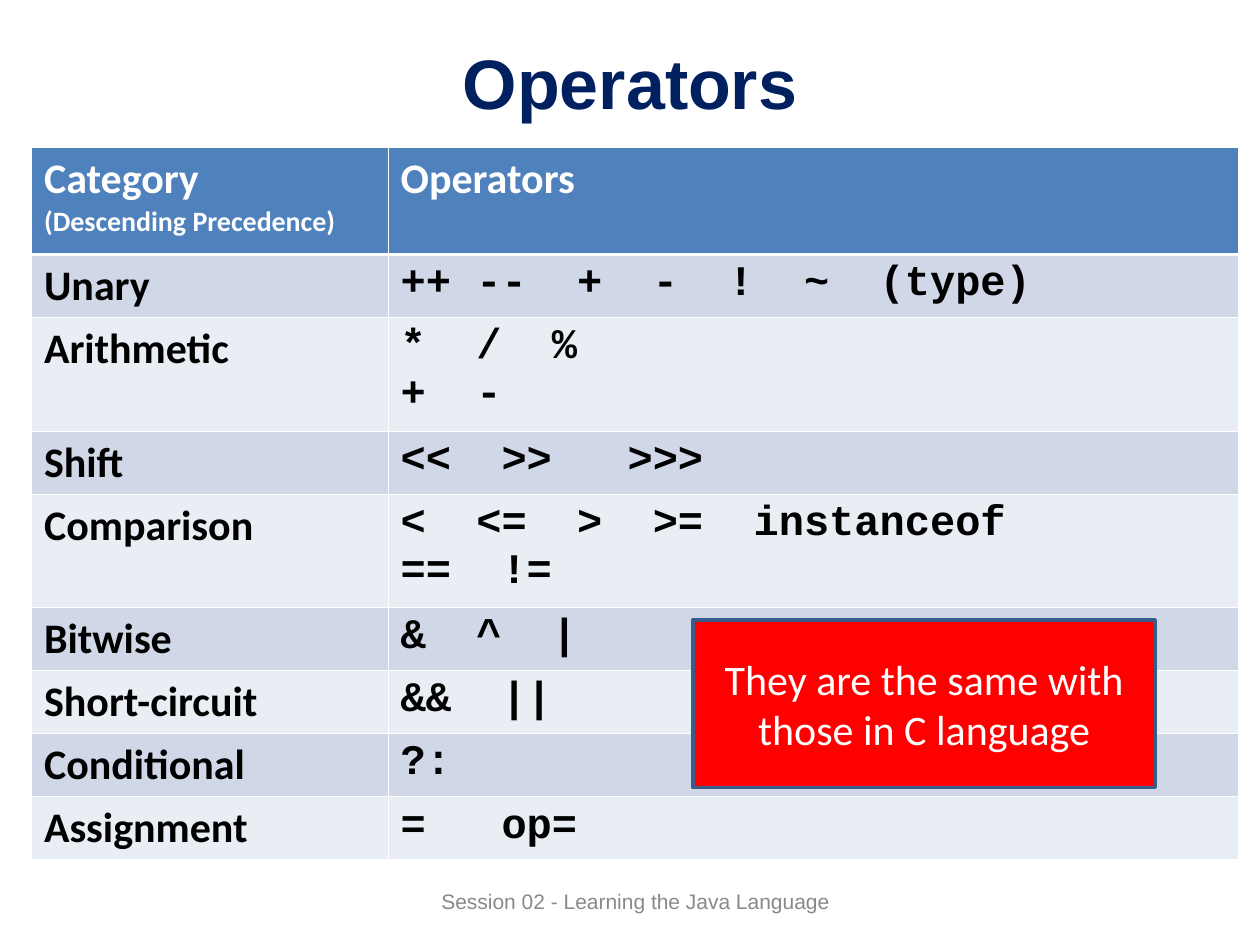
from pptx import Presentation
from pptx.dml.color import RGBColor
from pptx.enum.shapes import MSO_SHAPE as SHAPE
from pptx.enum.text import MSO_ANCHOR as ANCHOR, MSO_AUTO_SIZE as AUTO, PP_ALIGN as ALIGN
from pptx.oxml.ns import qn
from pptx.util import Inches, Pt
from lxml.etree import SubElement

COLORS = {
    "title": "002060", "footer": "898989", "header": "4F81BD",
    "odd": "D0D8E8", "even": "E9EDF4", "white": "FFFFFF", "black": "000000",
    "note": "FF0000", "note_line": "385D8A",
}
COLUMNS = [2.83, 6.75]
HEADER = [["Category", "(Descending Precedence)"], ["Operators"]]
OPERATORS = [
    ("Unary", ["++ --  +  -  !  ~  (type)"]),
    ("Arithmetic", ["*  /  %", "+  -"]),
    ("Shift", ["<<  >>   >>>"]),
    ("Comparison", ["<  <=  >  >=  instanceof", "==  !="]),
    ("Bitwise", ["&  ^  |"]),
    ("Short-circuit", ["&&  ||"]),
    ("Conditional", ["?:"]),
    ("Assignment", ["=   op="]),
]


def rgb(name):
    return RGBColor.from_string(COLORS[name])


def write(tf, lines, sizes=(24,), font="Calibri", color="black", bold=False, align=ALIGN.LEFT):
    """Write one paragraph per line; the last size serves any further lines."""
    tf.word_wrap = True
    for i, line in enumerate(lines):
        p = tf.add_paragraph() if i else tf.paragraphs[0]
        p.alignment = align
        r = p.add_run()
        r.text = line
        r.font.size = Pt(sizes[min(i, len(sizes) - 1)])
        r.font.name = font
        r.font.bold = bold
        r.font.color.rgb = rgb(color)


def place(sp, box):
    sp.left, sp.top, sp.width, sp.height = (Inches(v) for v in box)


def add_title(s, box):
    sp = s.shapes.title
    place(sp, box)
    tf = sp.text_frame
    tf.auto_size = AUTO.NONE
    tf.vertical_anchor = ANCHOR.MIDDLE
    write(tf, ["Operators"], (40,), "Arial", "title", True, ALIGN.CENTER)


def set_borders(cell, **widths):
    tc_pr = cell._tc.get_or_add_tcPr()
    for side in "LRTB":
        ln = SubElement(tc_pr, qn("a:ln" + side), w=str(Pt(widths.get(side, 0.45))))
        fill = SubElement(ln, qn("a:solidFill"))
        SubElement(fill, qn("a:srgbClr"), val=COLORS["white"])


def fill_cell(cell, lines, fill, borders, **fmt):
    set_borders(cell, **borders)
    cell.fill.solid()
    cell.fill.fore_color.rgb = rgb(fill)
    write(cell.text_frame, lines, bold=True, **fmt)


def add_operator_table(s, box):
    x, y, w, h = (Inches(v) for v in box)
    table = s.shapes.add_table(len(OPERATORS) + 1, len(COLUMNS), x, y, w, h).table
    for col, width in zip(table.columns, COLUMNS):
        col.width = Inches(width)

    # Header row, with a heavier rule below
    table.rows[0].height = Inches(0.85)
    for c, lines in enumerate(HEADER):
        fill_cell(table.cell(0, c), lines, "header", {"B": 1.47}, sizes=(24, 16), color="white")

    # Banded body rows, taller where there are two lines
    for i, (category, symbols) in enumerate(OPERATORS, 1):
        table.rows[i].height = Inches(0.1 + 0.4 * len(symbols))
        fill = "odd" if i % 2 else "even"
        borders = {"T": 1.47} if i == 1 else {}
        fill_cell(table.cell(i, 0), [category], fill, borders)
        fill_cell(table.cell(i, 1), symbols, fill, borders, font="Courier New")


def add_note(s, box):
    sp = s.shapes.add_shape(SHAPE.RECTANGLE, *(Inches(v) for v in box))
    sp.shadow.inherit = False
    sp.fill.solid()
    sp.fill.fore_color.rgb = rgb("note")
    sp.line.color.rgb = rgb("note_line")
    sp.line.width = Pt(2)
    sp.text_frame.vertical_anchor = ANCHOR.MIDDLE
    write(sp.text_frame, ["They are the same with those in C language"],
          color="white", align=ALIGN.CENTER)


def add_footer(s, box):
    tf = s.shapes.add_textbox(*(Inches(v) for v in box)).text_frame
    tf.vertical_anchor = ANCHOR.MIDDLE
    write(tf, ["Session 02 - Learning the Java Language"], (12,), "Arial", "footer",
          align=ALIGN.CENTER)


def main():
    prs = Presentation()
    prs.slide_width, prs.slide_height = Inches(10), Inches(7.5)
    s = prs.slides.add_slide(prs.slide_layouts[5])
    add_title(s, (0.5, 0.3, 9, 0.7))
    add_footer(s, (2.92, 6.95, 4.25, 0.4))
    add_operator_table(s, (0.25, 1.17, 9.58, 5.65))
    add_note(s, (5.5, 4.92, 3.67, 1.33))
    prs.save("out.pptx")


if __name__ == "__main__":
    main()
